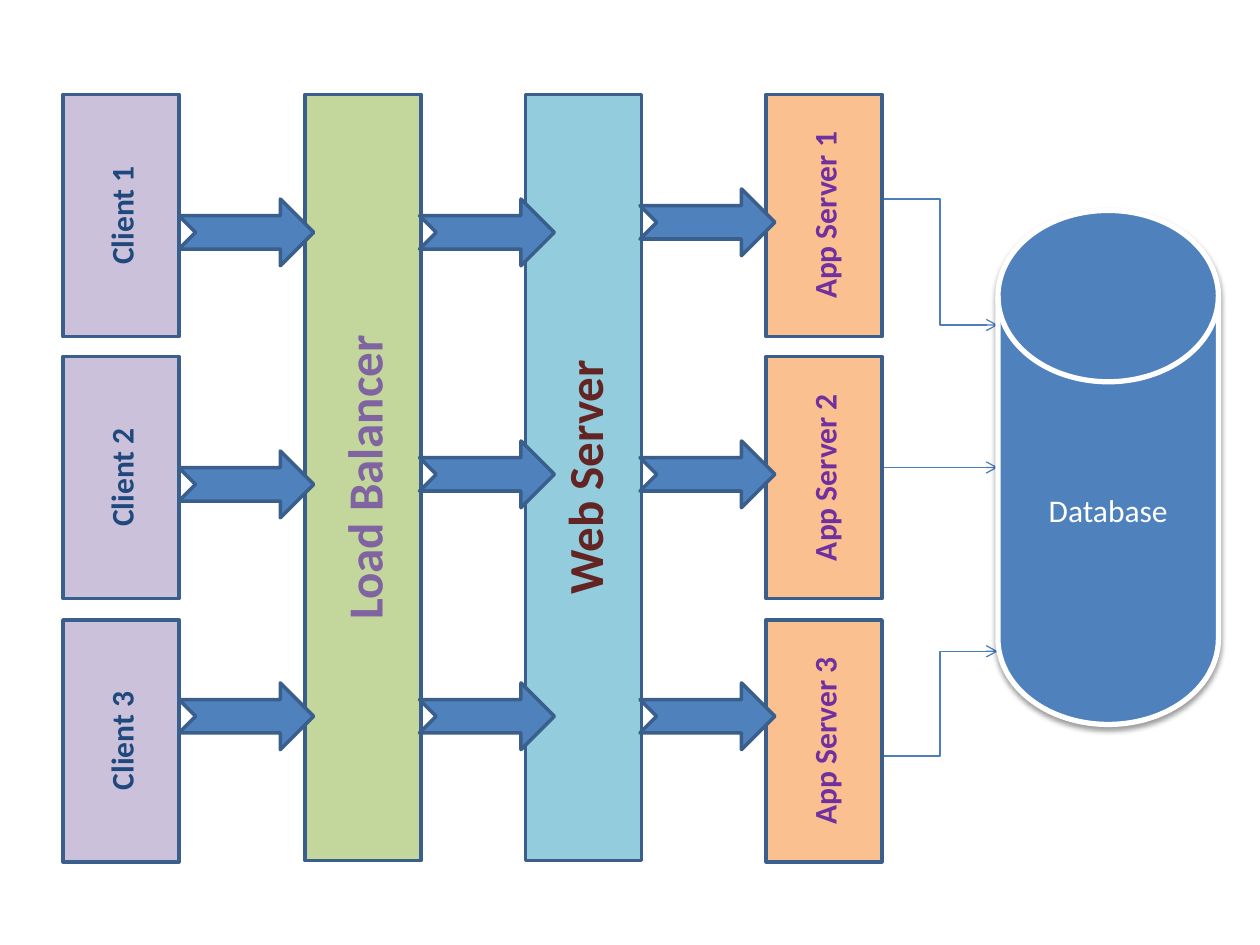
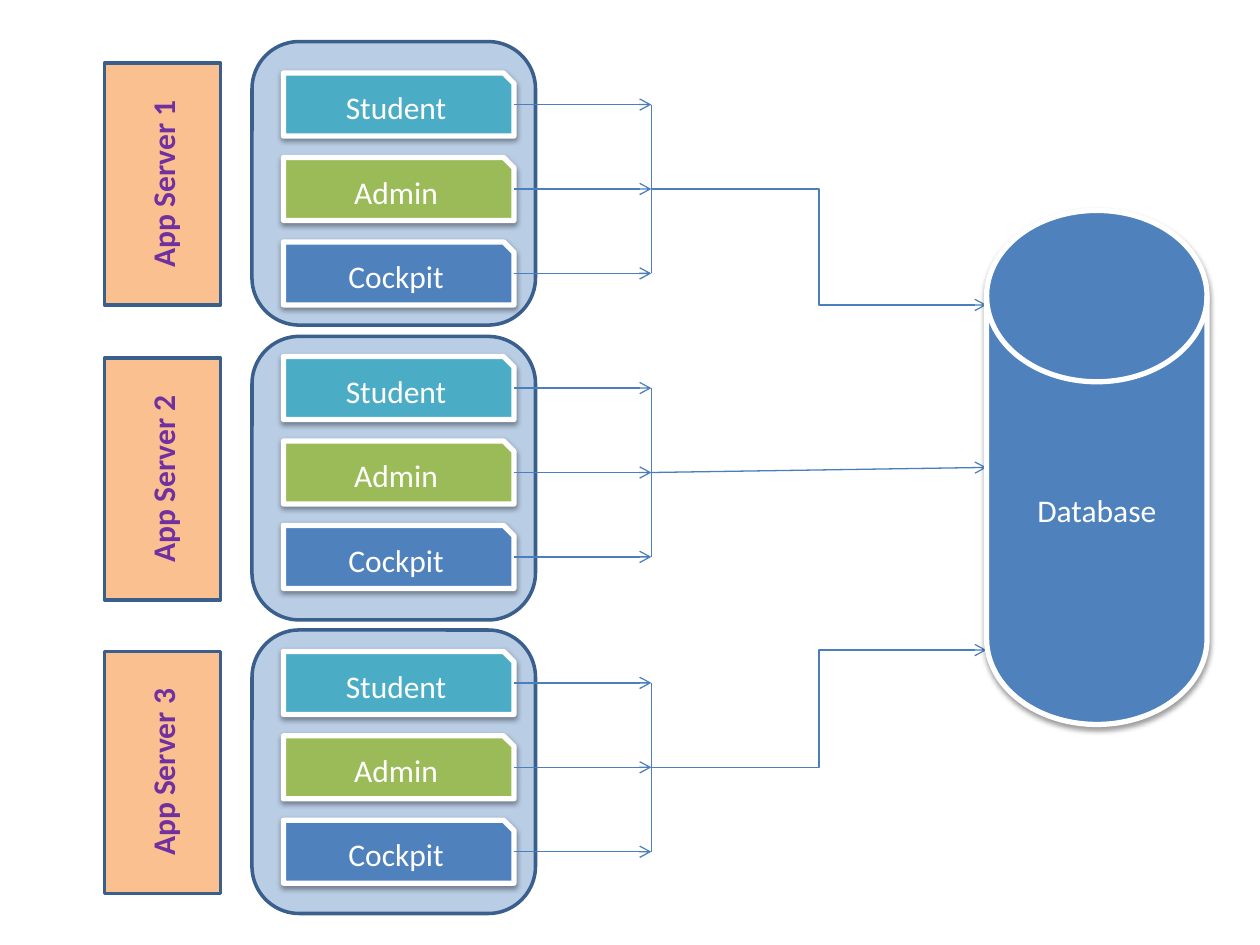
from dataclasses import dataclass

from lxml import etree
from pptx import Presentation
from pptx.dml.color import RGBColor
from pptx.enum.shapes import MSO_CONNECTOR, MSO_SHAPE
from pptx.enum.text import MSO_ANCHOR, PP_ALIGN
from pptx.oxml.ns import qn
from pptx.util import Inches, Pt

RECTANGLE = MSO_SHAPE.RECTANGLE
ROUNDED = MSO_SHAPE.ROUNDED_RECTANGLE
SNIPPED = MSO_SHAPE.SNIP_1_RECTANGLE
NOTCHED_ARROW = MSO_SHAPE.NOTCHED_RIGHT_ARROW
DISK = MSO_SHAPE.FLOWCHART_MAGNETIC_DISK
STRAIGHT = MSO_CONNECTOR.STRAIGHT
ELBOW = MSO_CONNECTOR.ELBOW
MIDDLE = MSO_ANCHOR.MIDDLE
CENTER = PP_ALIGN.CENTER
RIGHT_SIDE = 3


@dataclass(frozen=True)
class Theme:
    font: str = "Calibri"
    body_size: int = 18
    tier_size: int = 28
    outline: str = "3A5F8C"
    connector: str = "4B7EBC"
    white: str = "FFFFFF"
    blue: str = "4F81BD"
    teal: str = "4BACC6"
    green: str = "9BBB59"
    panel: str = "B9CDE5"
    client: str = "CCC1DA"
    client_text: str = "1F497D"
    balancer: str = "C3D69B"
    balancer_text: str = "8064A2"
    web: str = "93CDDD"
    web_text: str = "632523"
    server: str = "FAC090"
    server_text: str = "7030A0"


class Diagram:
    def __init__(self, theme):
        self.theme = theme
        self.deck = Presentation()
        self.deck.slide_width = Inches(10)
        self.deck.slide_height = Inches(7.5)
        self.page = None

    def new_page(self):
        self.page = self.deck.slides.add_slide(self.deck.slide_layouts[6])

    def shape(self, kind, left, top, width, height, fill, line=None, weight=2):
        box = self.page.shapes.add_shape(
            kind, Inches(left), Inches(top), Inches(width), Inches(height))
        box.shadow.inherit = False
        box.fill.solid()
        box.fill.fore_color.rgb = RGBColor.from_string(fill)
        box.line.color.rgb = RGBColor.from_string(line or self.theme.outline)
        box.line.width = Pt(weight)
        return box

    def label(self, box, text, color, size, bold=False):
        frame = box.text_frame
        frame.word_wrap = True
        frame.vertical_anchor = MIDDLE
        para = frame.paragraphs[0]
        para.alignment = CENTER
        span = para.add_run()
        span.text = text
        span.font.name = self.theme.font
        span.font.size = Pt(size)
        span.font.bold = bold
        span.font.color.rgb = RGBColor.from_string(color)

    def upright(self, left, top, height, text, fill, color, size=None):
        box = self.shape(RECTANGLE, left, top, 0.92, height, fill)
        self.label(box, text, color, size or self.theme.body_size, bold=True)
        box.element.txBody.bodyPr.set("vert", "vert270")

    def app_server(self, left, top, number):
        self.upright(left, top, 1.92, f"App Server {number}",
                     self.theme.server, self.theme.server_text)

    def raised(self, kind, left, top, width, height, text, fill):
        box = self.shape(kind, left, top, width, height, fill, self.theme.white, 3)
        effects = box.element.spPr.find(qn("a:effectLst"))
        shadow = etree.SubElement(effects, qn("a:outerShdw"), blurRad="40000",
                                  dist="20000", dir="5400000", rotWithShape="0")
        color = etree.SubElement(shadow, qn("a:srgbClr"), val="000000")
        etree.SubElement(color, qn("a:alpha"), val="38000")
        self.label(box, text, self.theme.white, self.theme.body_size)
        return box

    def database(self, left):
        self.raised(DISK, left, 1.67, 1.75, 4.08, "Database", self.theme.blue)

    def flow_arrow(self, left, top):
        self.shape(NOTCHED_ARROW, left, top, 1.07, 0.53, self.theme.blue)

    def connector(self, kind, start, end, arrow=True, source=None):
        line = self.page.shapes.add_connector(
            kind, *(Inches(value) for value in (*start, *end)))
        if source is not None:
            line.begin_connect(source, RIGHT_SIDE)
        line.line.color.rgb = RGBColor.from_string(self.theme.connector)
        line.line.width = Pt(0.75)
        properties = line.element.spPr
        if arrow:
            etree.SubElement(properties.get_or_add_ln(), qn("a:tailEnd"), type="arrow")
        etree.SubElement(properties, qn("a:effectLst"))


def build_tiers(diagram):
    theme = diagram.theme
    diagram.new_page()
    diagram.connector(ELBOW, (7, 1.58), (7.92, 2.58))
    diagram.connector(STRAIGHT, (7, 3.71), (7.92, 3.71))
    diagram.connector(ELBOW, (7, 6), (7.92, 5.17))
    for number, top in enumerate((0.75, 2.83, 4.92), 1):
        diagram.upright(0.5, top, 1.92, f"Client {number}",
                        theme.client, theme.client_text)
        diagram.app_server(6.08, top, number)
    diagram.upright(2.42, 0.75, 6.08, "Load Balancer",
                    theme.balancer, theme.balancer_text, theme.tier_size)
    diagram.upright(4.17, 0.75, 6.08, "Web Server",
                    theme.web, theme.web_text, theme.tier_size)
    arrow_columns = {
        1.42: (1.58, 3.58, 5.42),
        3.33: (1.58, 3.5, 5.42),
        5.08: (1.5, 3.5, 5.42),
    }
    for left, tops in arrow_columns.items():
        for top in tops:
            diagram.flow_arrow(left, top)
    diagram.database(7.92)


def build_modules(diagram):
    theme = diagram.theme
    modules = (("Student", theme.teal), ("Admin", theme.green), ("Cockpit", theme.blue))
    groups = (
        (0.33, 0.58, ELBOW, 2.42),
        (2.67, 2.83, STRAIGHT, 3.71),
        (5, 5.17, ELBOW, 5.16),
    )
    step = 0.67
    trunk = 5.17
    diagram.new_page()
    for number, (panel_top, first_top, link, database_y) in enumerate(groups, 1):
        diagram.shape(ROUNDED, 2, panel_top, 2.25, 2.25, theme.panel)
        diagram.app_server(0.83, panel_top + 0.17, number)
        for index, (name, fill) in enumerate(modules):
            top = first_top + index * step
            middle = top + 0.25
            box = diagram.raised(SNIPPED, 2.25, top, 1.83, 0.5, name, fill)
            diagram.connector(STRAIGHT, (4.08, middle), (trunk, middle), source=box)
        first_middle = first_top + 0.25
        diagram.connector(STRAIGHT, (trunk, first_middle),
                          (trunk, first_middle + 2 * step), arrow=False)
        diagram.connector(link, (trunk, first_middle + step), (7.83, database_y))
    diagram.database(7.83)


def main():
    diagram = Diagram(Theme())
    build_tiers(diagram)
    build_modules(diagram)
    diagram.deck.save("out.pptx")


if __name__ == "__main__":
    main()
